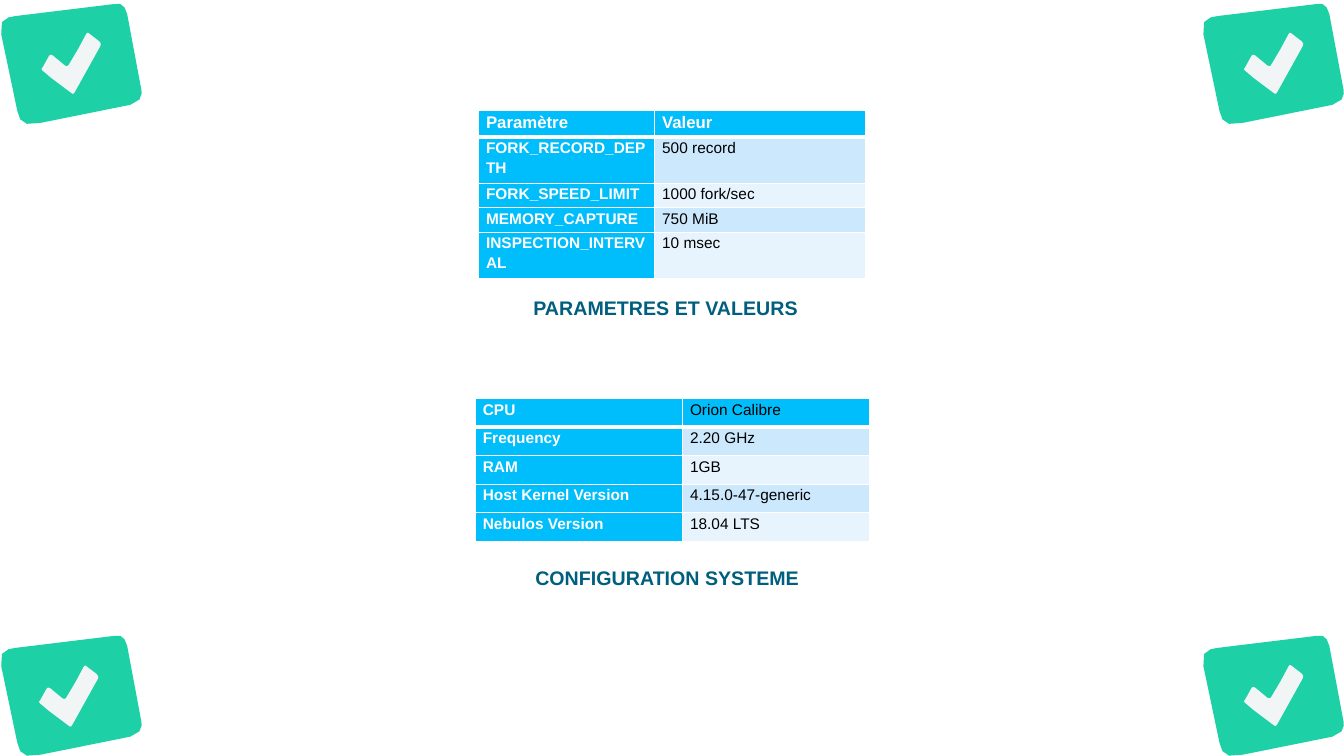
from dataclasses import dataclass

from lxml import etree
from pptx import Presentation
from pptx.dml.color import RGBColor
from pptx.enum import text
from pptx.oxml import ns
from pptx.util import Pt


@dataclass(frozen=True)
class Theme:
    font: str = "Arial"
    white: str = "FFFFFF"
    black: str = "000000"
    header: str = "00BDFB"
    bands: tuple = ("E7F4FE", "CCE8FD")
    caption: str = "005E7E"
    tile: str = "1ED0A6"
    check: str = "F2F5F6"
    head_size: int = 12
    cell_size: int = 11
    caption_size: int = 14


theme = Theme()


def write(tf, content, size, color, bold=False, spacing=None):
    p = tf.paragraphs[0]
    p.line_spacing = spacing
    r = p.add_run()
    r.text = content
    r.font.name, r.font.size, r.font.bold = theme.font, Pt(size), bold
    r.font.color.rgb = RGBColor.from_string(color)


def draw_outline(s, segments, dx, dy, color):
    """Draw a closed shape; a segment of one point is a line, of three a Bézier curve."""
    points = []
    for segment in segments:
        if len(segment) == 1:
            points += segment
            continue
        curve = (points[-1], *segment)
        for t in (1 / 3, 2 / 3, 1):
            weights = ((1 - t) ** 3, 3 * t * (1 - t) ** 2, 3 * t * t * (1 - t), t ** 3)
            points.append(tuple(sum(w * pt[axis] for w, pt in zip(weights, curve))
                                for axis in (0, 1)))
    points = [(Pt(x + dx), Pt(y + dy)) for x, y in points]
    builder = s.shapes.build_freeform(*points[0])
    builder.add_line_segments(points[1:], close=True)
    sp = builder.convert_to_shape()
    sp.shadow.inherit = False
    sp.fill.solid()
    sp.fill.fore_color.rgb = RGBColor.from_string(color)
    sp.line.fill.background()


prs = Presentation()
prs.slide_width, prs.slide_height = Pt(960), Pt(540)
s = prs.slides.add_slide(prs.slide_layouts[6])

# Tables: left, top, column widths, row heights, size of the first row, rows
parameters = [
    ("Paramètre", "Valeur"),
    ("FORK_RECORD_DEPTH", "500 record"),
    ("FORK_SPEED_LIMIT", "1000 fork/sec"),
    ("MEMORY_CAPTURE", "750 MiB"),
    ("INSPECTION_INTERVAL", "10 msec"),
]
configuration = [
    ("CPU", "Orion Calibre"),
    ("Frequency", "2.20 GHz"),
    ("RAM", "1GB"),
    ("Host Kernel Version", "4.15.0-47-generic"),
    ("Nebulos Version", "18.04 LTS"),
]
tables = [
    (342, 79.2, (125.8, 150.5), (18.7, 33.1, 17.5, 17.5, 33.1), theme.head_size, parameters),
    (339.7, 284.8, (148, 133.2), (20.4,) * 5, theme.cell_size, configuration),
]
for left, top, widths, heights, first_size, rows in tables:
    table = s.shapes.add_table(len(rows), 2, Pt(left), Pt(top),
                               Pt(sum(widths)), Pt(sum(heights))).table
    for column, width in zip(table.columns, widths):
        column.width = Pt(width)
    for i, (row, height) in enumerate(zip(rows, heights)):
        table.rows[i].height = Pt(height)
        for j, content in enumerate(row):
            cell = table.cell(i, j)
            cell.margin_left = cell.margin_right = Pt(5.2)
            cell.margin_top = cell.margin_bottom = 0
            bold = j == 0 or content == "Valeur"
            write(cell.text_frame, content, size=first_size if i == 0 else theme.cell_size,
                  color=theme.white if bold else theme.black, bold=bold, spacing=1.15)
            cell.fill.solid()
            fill = theme.header if i == 0 or j == 0 else theme.bands[i % 2]
            cell.fill.fore_color.rgb = RGBColor.from_string(fill)
            tc_pr = cell._tc.get_or_add_tcPr()
            for k, side in enumerate("LRTB"):
                below_header = (i, side) in ((0, "B"), (1, "T"))
                ln = etree.Element(ns.qn(f"a:ln{side}"), w=str(Pt(3 if below_header else 1)))
                solid = etree.SubElement(ln, ns.qn("a:solidFill"))
                etree.SubElement(solid, ns.qn("a:srgbClr"), val=theme.white)
                tc_pr.insert(k, ln)

captions = [
    (373.9, 208.1, 205.2, "PARAMETRES ET VALEURS"),
    (375.3, 400.7, 203.8, "CONFIGURATION SYSTEME"),
]
for left, top, width, content in captions:
    tf = s.shapes.add_textbox(Pt(left), Pt(top), Pt(width), Pt(24.2)).text_frame
    tf.word_wrap = False
    tf.auto_size = text.MSO_AUTO_SIZE.SHAPE_TO_FIT_TEXT
    write(tf, content, size=theme.caption_size, color=theme.caption, bold=True)

# Corner badges, outlined at the top left and shifted to each corner
tile = [
    [(0.7, 24.5)],
    [(-2.2, 12.2), (7.2, 12.2), (10.8, 11.5)],
    [(81.4, 2.9)],
    [(86.4, 1.4), (89.3, 4.3), (90.7, 10.1)],
    [(100.8, 64.1)],
    [(100.8, 65.5), (103, 72), (92.9, 74.9)],
    [(28.8, 87.8)],
    [(15.8, 90.7), (13.7, 86.4), (12.2, 79.2)],
]
check = [
    [(29.5, 49)],
    [(30.2, 48.2)],
    [(34.6, 40.3)],
    [(35.3, 38.9), (36, 38.9), (37.4, 39.6)],
    [(46.1, 46.8)],
    [(47.5, 47.5), (48.2, 47.5), (49, 46.1)],
    [(55.4, 35.3)],
    [(61.2, 24.5)],
    [(61.9, 23), (62.6, 23), (64.1, 24.5)],
    [(70.6, 29.5)],
    [(72, 31), (72, 31.7), (71.3, 33.1)],
    [(53.3, 65.5)],
    [(52.6, 67), (51.8, 67.7), (50.4, 66.2)],
    [(36, 55.4)],
    [(31, 51.1)],
    [(30.2, 50.4), (29.5, 50.4), (29.5, 49)],
]
right, bottom = 858.9, 451.3
tile_shifts = [(0.2, 0), (right, 0), (right, bottom), (0.2, bottom)]
check_shifts = [(0.3, 0), (right + 0.3, 0), (right + 0.3, bottom + 0.3), (-1.5, bottom + 0.7)]
for outline, shifts, color in ((tile, tile_shifts, theme.tile),
                               (check, check_shifts, theme.check)):
    for dx, dy in shifts:
        draw_outline(s, outline, dx, dy, color)

prs.save("out.pptx")
